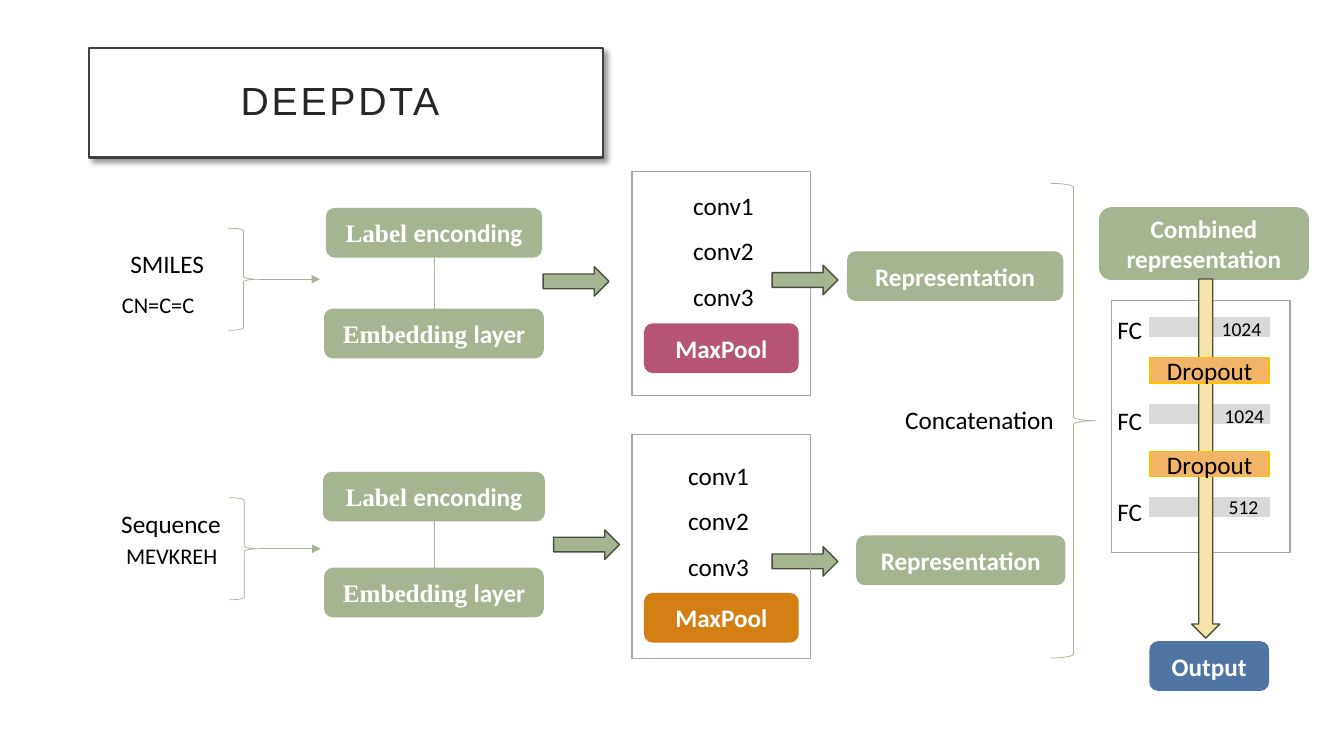
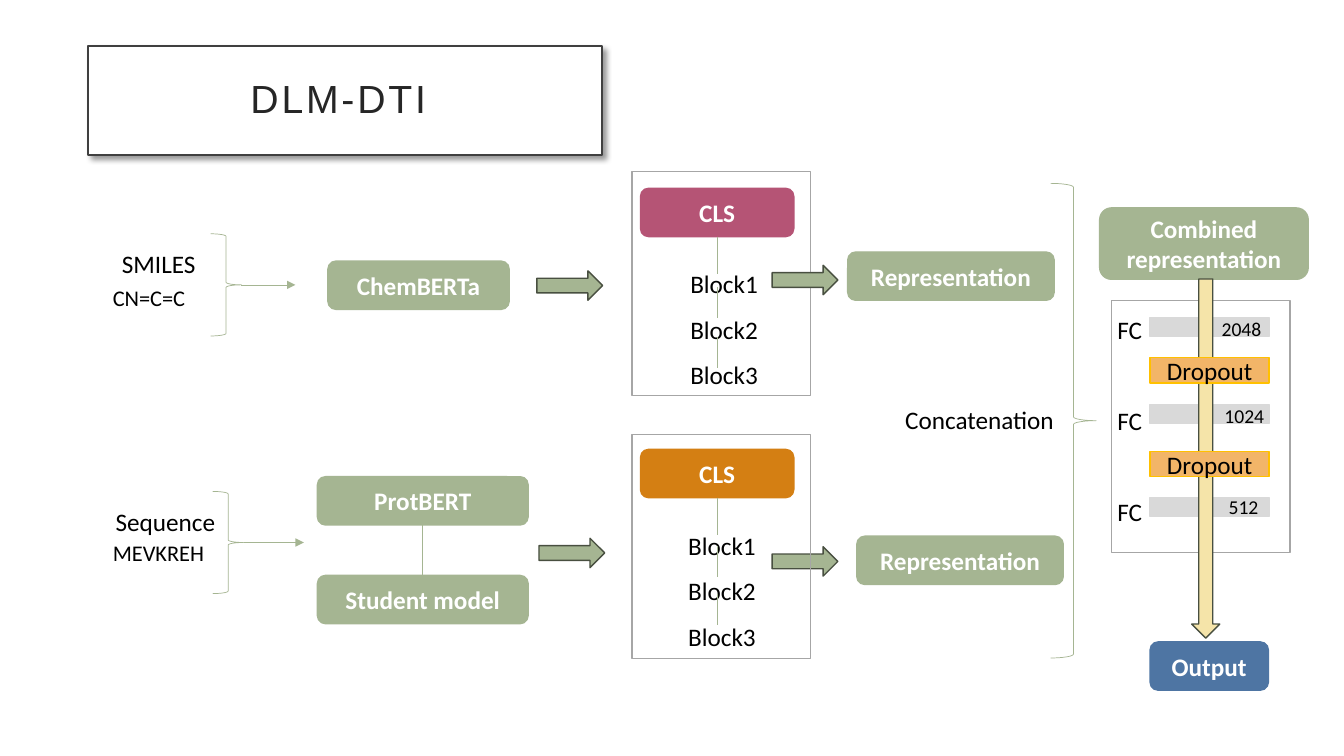
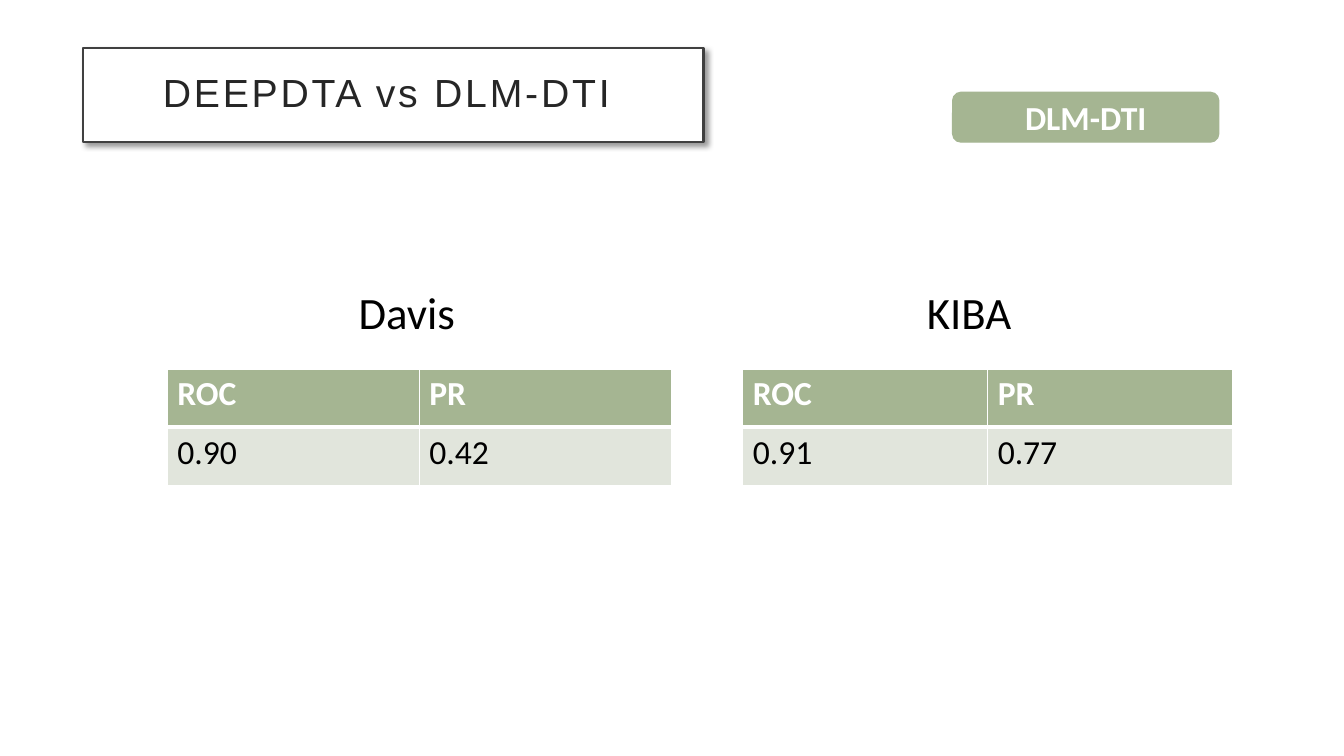
import pptx
import pptx.dml.color
import pptx.enum.shapes
import pptx.enum.text
import pptx.oxml
import pptx.oxml.ns
import pptx.util

Pt = pptx.util.Pt
KIND = pptx.enum.shapes.MSO_SHAPE
ALIGN = pptx.enum.text.PP_ALIGN
TOP, BOTTOM = 0, 2
COLORS = {
    "white": "FFFFFF", "black": "000000", "ink": "262626", "edge": "404040",
    "sage": "A5B592", "moss": "484F40", "mist": "E1E5DC", "frame": "A6A6A6",
    "rose": "B55475", "amber": "D47F13", "blue": "4E75A3", "bar": "D9D9D9",
    "cream": "F5E4A9", "peach": "F2B568", "gold": "FFC000",
}
BODY, SERIF, HEAD = "Calibri", "Times New Roman", "Arial"
CHIP = 34.5
ARROW = (47, 21)
LABEL = ("Label ", "enconding")
EMBED = ("Embedding ", "layer")
CONVS = ["conv1", "conv2", "conv3"]
BLOCKS = ["Block1", "Block2", "Block3"]
SMILES = {"name": "SMILES", "code": "CN=C=C"}
CHAIN = {"name": "Sequence", "code": "MEVKREH"}

LANES = [
    {"frame": (451.5, 122.5, 127.5, 160), "fill": "rose", "exit_y": 67,
     "veil": False, "result": (605.5, 180)},
    {"frame": (451.5, 310.5, 127.5, 160), "fill": "amber", "exit_y": 80,
     "veil": True, "result": (612, 383)},
]
MODELS = [
    {
        "title": "DEEPDTA ", "title_at": (63.5, 34.5),
        "widths": (153.5, 148.5), "sizes": ("1024", "1024", "512"),
        "tracks": [
            {"source": dict(SMILES, box=(163, 163, 22, 73), name_at=(-77, 10.5),
                            code_at=(-83, 41.5), reach=43.5),
             "coder": {"axis": 310, "exit_at": (388, 190.5),
                       "steps": [(LABEL, 149, 153.5), (EMBED, 221, 156)]},
             "stack": {"lines": CONVS, "lines_at": (36.5, -1),
                       "word": "MaxPool", "word_at": (9, 109)}},
            {"source": dict(CHAIN, box=(163.5, 355.5, 22, 73), name_at=(-84, 4),
                            code_at=(-80.5, 28), reach=43.5),
             "coder": {"axis": 310, "exit_at": (395.5, 378.5),
                       "steps": [(LABEL, 337.5, 157.5), (EMBED, 406, 156)]},
             "stack": {"lines": CONVS, "lines_at": (33, 4),
                       "word": "MaxPool", "word_at": (9, 113.5)}},
        ],
    },
    {
        "title": "DLM-DTI ", "title_at": (63, 33),
        "widths": (147.5, 147.5), "sizes": ("2048", "1024", "512"),
        "tracks": [
            {"source": dict(SMILES, box=(150.5, 167, 22, 73), name_at=(-70.5, 7),
                            code_at=(-77, 32.5), reach=38.5),
             "coder": {"axis": 299, "exit_at": (383.5, 193.5),
                       "steps": [("ChemBERTa", 186.5, 129.5)]},
             "stack": {"lines": BLOCKS, "lines_at": (34.5, 55),
                       "word": "CLS", "word_at": (6, 12), "pitch": 36}},
            {"source": dict(CHAIN, box=(152, 351, 22, 73), name_at=(-76.5, 7),
                            code_at=(-78.5, 30.5), reach=43),
             "coder": {"axis": 302, "exit_at": (385, 384.5),
                       "steps": [("ProtBERT", 340.5, 150.5),
                                 ("Student model", 411, 150.5)]},
             "stack": {"lines": BLOCKS, "lines_at": (33, 54),
                       "word": "CLS", "word_at": (6, 10.5), "pitch": 34.5}},
        ],
    },
]
SCORES = [
    {"box": (119.5, 263.5, 360, 83.5), "name": "Davis", "name_x": 129.5,
     "values": ("0.90", "0.42")},
    {"box": (530.5, 263.5, 350, 83.5), "name": "KIBA", "name_x": 124.5,
     "values": ("0.91", "0.77")},
]


def hue(name):
    """Return the named colour."""
    return pptx.dml.color.RGBColor.from_string(COLORS[name])


def put(thing, values):
    """Set each attribute listed in the dict."""
    for key, value in values.items():
        setattr(thing, key, value)


def inner(box, offset, size):
    """Place a box by its offset from the corner of another."""
    return (box[0] + offset[0], box[1] + offset[1], *size)


def node(tag, inside="", **attrs):
    """Build one drawing element."""
    space = pptx.oxml.ns.nsdecls("a")
    item = pptx.oxml.parse_xml(f"<a:{tag} {space}>{inside}</a:{tag}>")
    for key, value in attrs.items():
        item.set(key, str(value))
    return item


def nodes(thing, tag):
    """List the elements with this tag inside a shape."""
    return list(thing.element.iter(pptx.oxml.ns.qn(tag)))


def paint(item, fill, line, width):
    """Set the fill and outline of a shape."""
    if fill:
        item.fill.solid()
        item.fill.fore_color.rgb = hue(fill)
    else:
        item.fill.background()
    item.line.color.rgb = hue(line)
    item.line.width = Pt(width)


def write(frame, lines, size=18, color="black", bold=False, font=BODY, **look):
    """Fill a text frame; a tuple line opens with a serif run."""
    for i, line in enumerate(lines):
        para = frame.add_paragraph() if i else frame.paragraphs[0]
        put(para, look)
        plain = isinstance(line, str)
        parts = [(line, font)] if plain else zip(line, (SERIF, BODY))
        for text, face in parts:
            run = para.add_run()
            run.text = text
            put(run.font, {"size": Pt(size), "bold": bold, "name": face})
            run.font.color.rgb = hue(color)


def note(slide, box, lines, **look):
    """Add a plain text box."""
    frame = slide.shapes.add_textbox(*map(Pt, box)).text_frame
    frame.word_wrap = True
    write(frame, lines, **look)


def shape(slide, kind, box, fill=None, line="sage", width=1, lines=(), **look):
    """Add a preset shape with optional centred text."""
    item = slide.shapes.add_shape(kind, *map(Pt, box))
    item.shadow.inherit = False
    paint(item, fill, line, width)
    write(item.text_frame, lines, alignment=ALIGN.CENTER, **look)
    return item


def chip(slide, box, line, fill="sage", size=18):
    """Add a rounded box with bold white text."""
    return shape(slide, KIND.ROUNDED_RECTANGLE, box, fill, fill,
                 lines=[line], color="white", bold=True, size=size)


def panel(slide, box):
    """Add an empty grey frame."""
    shape(slide, KIND.RECTANGLE, box, line="frame")


def brace(slide, box):
    """Add a thin right brace."""
    shape(slide, KIND.RIGHT_BRACE, box, width=0.5)


def arrow(slide, box, fill="sage"):
    """Add an outlined block arrow."""
    return shape(slide, KIND.RIGHT_ARROW, box, fill, "moss")


def link(slide, start, end, tip=False):
    """Draw a thin line, with an arrowhead if asked."""
    straight = pptx.enum.shapes.MSO_CONNECTOR.STRAIGHT
    wire = slide.shapes.add_connector(straight, *map(Pt, (*start, *end)))
    wire.line.color.rgb = hue("sage")
    wire.line.width = Pt(0.5)
    if tip:
        nodes(wire, "a:ln")[0].append(node("tailEnd", type="triangle"))
    wire.element.spPr.append(node("effectLst"))
    return wire


def solid(name, inside=""):
    """Return the markup of a colour."""
    return f'<a:srgbClr val="{COLORS[name]}">{inside}</a:srgbClr>'


def header(slide, box, text):
    """Format the title as a framed, shadowed band."""
    title = slide.shapes.title
    put(title, dict(zip(("left", "top", "width", "height"), map(Pt, box))))
    paint(title, "white", "edge", 1.5)
    cast = (f'<a:outerShdw blurRad="{Pt(4)}" dist="{Pt(3)}" dir="2700000" '
            'algn="tl" rotWithShape="0">'
            f'{solid("black", "<a:alpha val=" + chr(34) + "40000" + chr(34) + "/>")}'
            '</a:outerShdw>')
    title.element.spPr.append(node("effectLst", cast))
    frame = title.text_frame
    sides = ("left", "right", "top", "bottom")
    put(frame, {f"margin_{side}": Pt(14.4) for side in sides})
    put(frame, {"word_wrap": True,
                "vertical_anchor": pptx.enum.text.MSO_ANCHOR.MIDDLE,
                "auto_size": pptx.enum.text.MSO_AUTO_SIZE.NONE})
    write(frame, [text], size=28, color="ink", font=HEAD,
          alignment=ALIGN.CENTER, line_spacing=0.9)
    for props in nodes(title, "a:rPr"):
        props.set("spc", "200")


def source(slide, box, name, code, name_at, code_at, reach):
    """Draw an input label, its brace and the arrow leaving it."""
    left, top, width, height = box
    right, mid = left + width, top + height / 2
    brace(slide, box)
    link(slide, (right, mid), (right + reach, mid), tip=True)
    note(slide, inner(box, name_at, (101.5, 29)), [name])
    note(slide, inner(box, code_at, (91.5, 26.5)), [code], size=16)


def coder(slide, axis, steps, exit_at):
    """Stack encoder chips on an axis, join them and add the exit arrow."""
    chips = [chip(slide, (axis - width / 2, top, width, CHIP), text)
             for text, top, width in steps]
    for upper, lower in zip(chips, chips[1:]):
        wire = link(slide, (axis, 0), (axis, 0))
        wire.begin_connect(lower, TOP)
        wire.end_connect(upper, BOTTOM)
    arrow(slide, (*exit_at, *ARROW))


def ties(slide, cap, start, count, pitch):
    """Draw evenly spaced ties below a chip, the first one joined to it."""
    x, y = start
    for i in range(count):
        top = y + i * pitch
        wire = link(slide, (x, top), (x, top + (22 if i else 27)))
        if i == 0:
            wire.begin_connect(cap, BOTTOM)


def stack(slide, box, fill, exit_y, veil, lines, lines_at, word, word_at, pitch=None):
    """Draw a framed layer stack and its exit arrow, veiled by the frame or not."""
    cap_box = inner(box, word_at, (109.5, CHIP))
    cap = chip(slide, cap_box, word, fill)
    note(slide, inner(box, lines_at, (72, 175.5)), lines, line_spacing=1.5)
    if pitch:
        start = (cap_box[0] + cap_box[2] / 2, cap_box[1] + CHIP)
        ties(slide, cap, start, len(lines), pitch)
    exit_box = inner(box, (100, exit_y), ARROW)
    if veil:
        arrow(slide, exit_box)
    panel(slide, box)
    if not veil:
        arrow(slide, exit_box)


def merge(slide, box):
    """Draw the wide brace and its label."""
    brace(slide, box)
    note(slide, inner(box, (-111, 154), (137, 29)), ["Concatenation"])


def decode(slide, box, sizes):
    """Draw the dense layers from combined input to output."""
    chip(slide, box, "Combined representation")
    panel(slide, inner(box, (8.5, 66), (127.5, 180)))
    note(slide, inner(box, (5.5, 62), (72, 241)), ["FC"] * len(sizes),
         line_spacing=1.5, space_after=Pt(32.5))
    for y in (78.5, 140.5, 207):
        shape(slide, KIND.RECTANGLE, inner(box, (36, y), (85, 13.5)), "bar", "bar")
    flow = arrow(slide, inner(box, (-52.5, 169), (256.5, 20)), "cream")
    flow.rotation = 90
    for y in (107, 174):
        shape(slide, KIND.RECTANGLE, inner(box, (36, y), (85, 18)), "peach", "gold",
              lines=["Dropout"])
    chip(slide, inner(box, (36, 310), (84.5, CHIP)), "Output", "blue")
    spots = ((80, 74), (82, 136.5), (85, 201.5))
    for size, spot in zip(sizes, spots):
        note(slide, inner(box, spot, (60, 24.5)), [size], size=14)


def model(deck, title, title_at, tracks, widths, sizes):
    """Build one model slide from its two tracks."""
    slide = deck.slides.add_slide(deck.slide_layouts[5])
    header(slide, (*title_at, 367, 78), title)
    for lane, track, width in zip(LANES, tracks, widths):
        source(slide, **track["source"])
        coder(slide, **track["coder"])
        stack(slide, lane["frame"], lane["fill"], lane["exit_y"], lane["veil"],
              **track["stack"])
        chip(slide, (*lane["result"], width, CHIP), "Representation")
    merge(slide, (750.5, 131, 32.5, 339))
    decode(slide, (785.5, 148.5, 149, 51), sizes)


def border(props, widths):
    """Give a cell white borders, in the order left, right, top, bottom."""
    inside = f'<a:solidFill>{solid("white")}</a:solidFill>'
    for i, (side, width) in enumerate(zip("LRTB", widths)):
        props.insert(i, node("ln" + side, inside, w=Pt(width)))


def score(slide, box, name, name_x, values):
    """Draw a captioned score table."""
    note(slide, inner(box, (name_x, -63.5), (101.5, 46)), [name], size=32)
    holder = slide.shapes.add_table(2, 2, *map(Pt, box))
    table = holder.table
    table.horz_banding = False
    rows = [
        (("ROC", "PR"), "sage", {"color": "white", "bold": True}, (1, 1, 1, 3)),
        (values, "mist", {"color": "black"}, (1, 1, 3, 1)),
    ]
    for row, (texts, fill, look, edges) in zip(table.rows, rows):
        for cell, text in zip(row.cells, texts):
            cell.fill.solid()
            cell.fill.fore_color.rgb = hue(fill)
            write(cell.text_frame, [text], size=24, **look)
    edges = [row[-1] for row in rows for _ in table.columns]
    for props, widths in zip(nodes(holder, "a:tcPr"), edges):
        border(props, widths)


def versus(deck):
    """Build the score slide."""
    slide = deck.slides.add_slide(deck.slide_layouts[5])
    header(slide, (59.5, 34.5, 443, 67), "DEEPDTA vs DLM-DTI ")
    chip(slide, (680.5, 66, 190, 35.5), "DLM-DTI", size=24)
    for entry in SCORES:
        score(slide, **entry)


def main():
    """Build and save the deck."""
    deck = pptx.Presentation()
    put(deck, {"slide_width": Pt(960), "slide_height": Pt(540)})
    for entry in MODELS:
        model(deck, **entry)
    versus(deck)
    deck.save("out.pptx")


if __name__ == "__main__":
    main()
